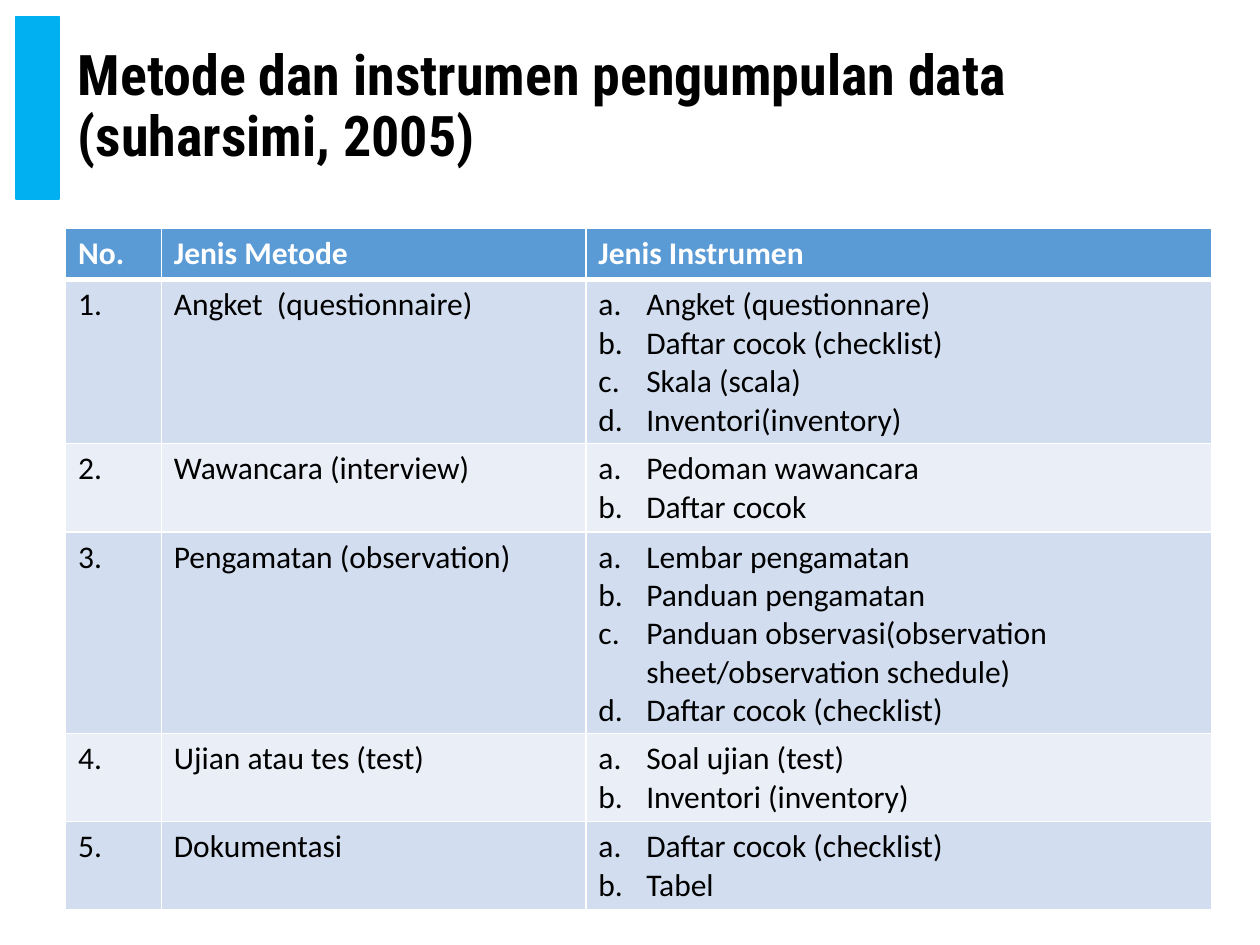
from lxml.etree import SubElement
from pptx import Presentation
from pptx.dml.color import RGBColor
from pptx.enum.shapes import MSO_SHAPE as Shape
from pptx.enum.text import MSO_ANCHOR as Anchor
from pptx.oxml.ns import qn
from pptx.util import Inches, Pt

WHITE, BLACK, CYAN = "FFFFFF", "000000", "00B0F0"
HEADER_FILL, BAND_FILLS = "5B9BD5", ("D2DEEF", "EAEFF7")
COLUMN_WIDTHS = (0.76, 3.37, 4.97)
ROW_HEIGHT = 0.41

HEADINGS = ("No.", "Jenis Metode", "Jenis Instrumen")
METHODS = (
    ("Angket  (questionnaire)",
     ("Angket (questionnare)", "Daftar cocok (checklist)",
      "Skala (scala)", "Inventori(inventory)")),
    ("Wawancara (interview)", ("Pedoman wawancara", "Daftar cocok")),
    ("Pengamatan (observation)",
     ("Lembar pengamatan", "Panduan pengamatan",
      "Panduan observasi(observation sheet/observation schedule)",
      "Daftar cocok (checklist)")),
    ("Ujian atau tes (test)", ("Soal ujian (test)", "Inventori (inventory)")),
    ("Dokumentasi", ("Daftar cocok (checklist)", "Tabel")),
)


def color(value):
    return RGBColor.from_string(value)


def format_text(frame, font, size, text_color, bold):
    for para in frame.paragraphs:
        for span in para.runs:
            span.font.name = font
            span.font.size = Pt(size)
            span.font.bold = bold
            span.font.color.rgb = color(text_color)


def letter_list(frame):
    """Number the paragraphs a., b., c. with a hanging indent."""
    for para in frame.paragraphs:
        props = para._p.get_or_add_pPr()
        props.set("marL", str(Inches(0.38)))
        props.set("indent", str(-Inches(0.38)))
        SubElement(props, qn("a:buFont"), typeface="+mj-lt")
        SubElement(props, qn("a:buAutoNum"), type="alphaLcPeriod")


def set_borders(cell, top, bottom):
    props = cell._tc.get_or_add_tcPr()
    for side, width in (("L", 1), ("R", 1), ("T", top), ("B", bottom)):
        line = SubElement(props, qn(f"a:ln{side}"), w=str(Pt(width)))
        fill = SubElement(line, qn("a:solidFill"))
        SubElement(fill, qn("a:srgbClr"), val=WHITE)


def add_title(page, left, top, width, height):
    # Accent bar
    bar = page.shapes.add_shape(Shape.RECTANGLE, Inches(left), Inches(top),
                                Inches(0.34), Inches(height))
    bar.shadow.inherit = False
    bar.fill.solid()
    bar.fill.fore_color.rgb = color(CYAN)
    bar.line.color.rgb = color(CYAN)
    bar.line.width = Pt(1)

    # Title text
    offset = 0.39
    box = page.shapes.add_textbox(Inches(left + offset), Inches(top),
                                  Inches(width - offset), Inches(height))
    frame = box.text_frame
    frame.word_wrap = True
    frame.vertical_anchor = Anchor.MIDDLE
    frame.text = "Metode dan instrumen pengumpulan data (suharsimi, 2005)"
    frame.paragraphs[0].line_spacing = 0.9
    format_text(frame, "Roboto Condensed", 32, BLACK, True)


def add_methods_table(page, left, top):
    rows = [HEADINGS]
    for number, (method, instruments) in enumerate(METHODS, 1):
        rows.append((f"{number}.", method, "\n".join(instruments)))

    table = page.shapes.add_table(
        len(rows), len(HEADINGS), Inches(left), Inches(top),
        Inches(sum(COLUMN_WIDTHS)), Inches(ROW_HEIGHT * len(rows))).table
    for column, width in zip(table.columns, COLUMN_WIDTHS):
        column.width = Inches(width)

    for r, texts in enumerate(rows):
        table.rows[r].height = Inches(ROW_HEIGHT)
        header = r == 0
        for c, text in enumerate(texts):
            cell = table.cell(r, c)
            set_borders(cell, top=3 if r == 1 else 1, bottom=3 if header else 1)
            cell.fill.solid()
            cell.fill.fore_color.rgb = color(
                HEADER_FILL if header else BAND_FILLS[(r - 1) % 2])
            cell.text_frame.text = text
            format_text(cell.text_frame, "Calibri", 18,
                        WHITE if header else BLACK, header)
            if not header and c == 2:
                letter_list(cell.text_frame)


deck = Presentation()
deck.slide_width, deck.slide_height = Inches(10), Inches(7.5)
page = deck.slides.add_slide(deck.slide_layouts[6])
add_title(page, 0.13, 0.13, 9.49, 1.45)
add_methods_table(page, 0.52, 1.81)
deck.save("out.pptx")
